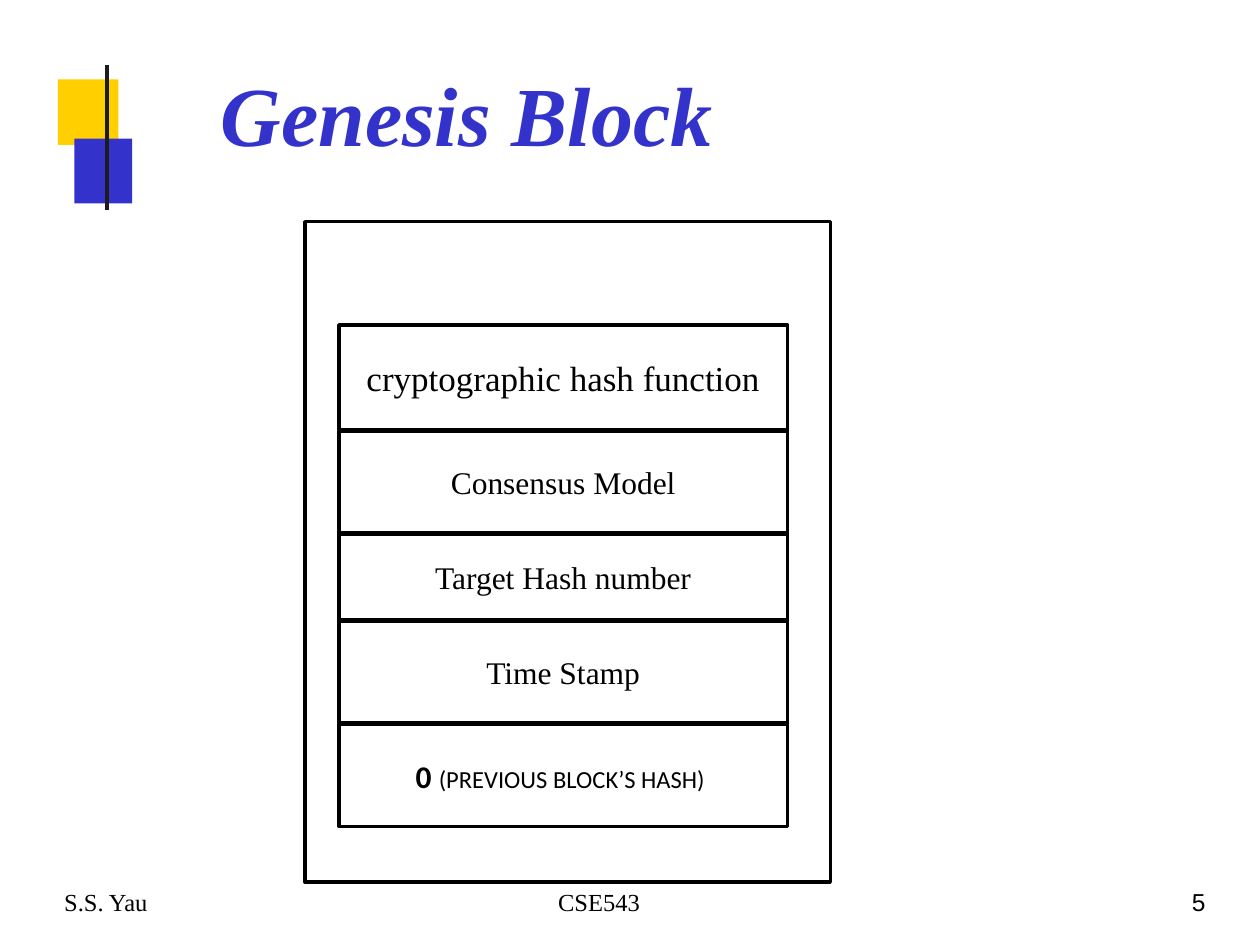
from dataclasses import dataclass

from lxml import etree
from pptx import Presentation
from pptx.dml.color import RGBColor
from pptx.enum.shapes import MSO_CONNECTOR, MSO_SHAPE
from pptx.enum.text import MSO_ANCHOR, PP_ALIGN
from pptx.oxml.ns import qn
from pptx.util import Inches, Pt

RECTANGLE = MSO_SHAPE.RECTANGLE
STRAIGHT = MSO_CONNECTOR.STRAIGHT
MIDDLE, TOP = MSO_ANCHOR.MIDDLE, MSO_ANCHOR.TOP
CENTER, LEFT = PP_ALIGN.CENTER, PP_ALIGN.LEFT

COLUMNS, ROWS = 100, 75
CELL = Inches(0.1)


@dataclass(frozen=True)
class Theme:
    blue: str = "3333CC"
    yellow: str = "FFCF00"
    black: str = "000000"
    charcoal: str = "1C1C1C"
    white: str = "FFFFFF"
    serif: str = "Times New Roman"
    sans: str = "Calibri"
    number_font: str = "Arial"
    title: int = 48
    large: int = 20
    body: int = 18
    small: int = 14
    outline: float = 2
    rule: float = 2.5


THEME = Theme()


def cells(*values):
    return [round(value * CELL) for value in values]


def write(paragraph, text, font=THEME.serif, size=THEME.body,
          color=THEME.black, bold=False, italic=False):
    run = paragraph.add_run()
    run.text = text
    run.font.name = font
    run.font.size = Pt(size)
    run.font.color.rgb = RGBColor.from_string(color)
    run.font.bold = bold
    run.font.italic = italic


class SlideBuilder:
    def __init__(self, slide, theme):
        self.slide = slide
        self.theme = theme

    def box(self, area, fill, outline=None):
        shape = self.slide.shapes.add_shape(RECTANGLE, *cells(*area))
        shape.shadow.inherit = False
        shape.fill.solid()
        shape.fill.fore_color.rgb = RGBColor.from_string(fill)
        if outline:
            shape.line.color.rgb = RGBColor.from_string(outline)
            shape.line.width = Pt(self.theme.outline)
        else:
            shape.line.fill.background()
        return shape

    def field(self, area, runs):
        shape = self.box(area, self.theme.white, self.theme.black)
        shape.text_frame.word_wrap = True
        shape.text_frame.vertical_anchor = MIDDLE
        paragraph = shape.text_frame.paragraphs[0]
        paragraph.alignment = CENTER
        for text, style in runs:
            write(paragraph, text, **style)

    def label(self, area, text, spacing=None, tab=None, **style):
        frame = self.slide.shapes.add_textbox(*cells(*area)).text_frame
        frame.word_wrap = True
        frame.vertical_anchor = TOP
        frame.margin_left = frame.margin_right = 0
        frame.margin_top = frame.margin_bottom = 0
        paragraph = frame.paragraphs[0]
        paragraph.alignment = LEFT
        if spacing:
            paragraph.line_spacing = Pt(spacing)
        if tab:
            properties = paragraph._p.get_or_add_pPr()
            tabs = etree.SubElement(properties, qn("a:tabLst"))
            etree.SubElement(tabs, qn("a:tab"), pos=str(cells(tab)[0]), algn="l")
        write(paragraph, text, **style)

    def line(self, start, end, color):
        connector = self.slide.shapes.add_connector(STRAIGHT, *cells(*start, *end))
        connector.line.color.rgb = RGBColor.from_string(color)
        connector.line.width = Pt(self.theme.rule)
        etree.SubElement(connector._element.spPr, qn("a:effectLst"))

    def stack(self, left, top, width, gap, fields):
        for height, runs in fields:
            self.field((left, top, width, height), runs)
            top += height + gap


def main():
    presentation = Presentation()
    presentation.slide_width, presentation.slide_height = cells(COLUMNS, ROWS)
    slide = presentation.slides.add_slide(presentation.slide_layouts[6])
    builder = SlideBuilder(slide, THEME)

    builder.box((4.6, 6.3, 4.8, 5.2), THEME.yellow)
    builder.box((5.9, 11, 4.6, 5.15), THEME.blue)
    builder.line((8.5, 5.2), (8.5, 16.7), THEME.charcoal)
    builder.label((17.5, 5, 82.5, 9.1), "Genesis Block", size=THEME.title,
                  color=THEME.blue, bold=True, italic=True)

    builder.box((24.2, 17.6, 41.7, 52.4), THEME.white, THEME.black)
    builder.stack(26.9, 25.8, 35.6, 0.1, [
        (8.3, [("cryptographic hash function", {"size": THEME.large})]),
        (8.1, [("Consensus Model", {})]),
        (6.8, [("Target Hash number", {})]),
        (8.1, [("Time Stamp", {})]),
        (8.1, [("0 ", {"font": THEME.sans, "bold": True}),
               ("(PREVIOUS BLOCK’S HASH) ",
                {"font": THEME.sans, "size": THEME.small})]),
    ])

    builder.label((94.6, 70.6, 2.5, 2.2), "5", spacing=15.2,
                  font=THEME.number_font, size=THEME.small)
    builder.label((5.1, 70.6, 82.4, 2.1), "S.S. Yau\tCSE543", spacing=15.1,
                  tab=39.2, size=THEME.small)
    presentation.save("out.pptx")


if __name__ == "__main__":
    main()
